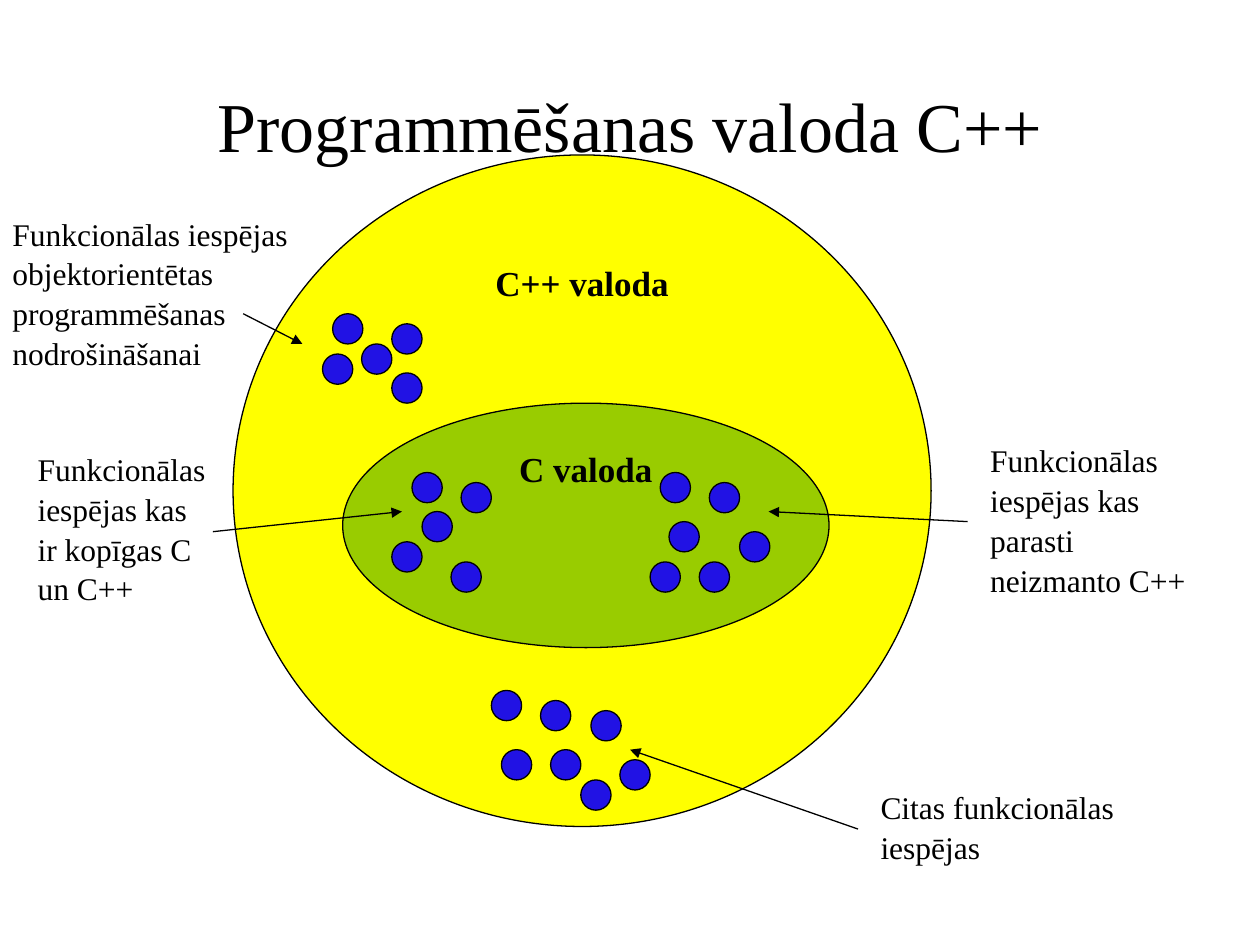
import pptx
import pptx.util
import pptx.dml.color
import pptx.enum.shapes
import pptx.enum.text
import pptx.oxml
import pptx.oxml.ns

Inches = pptx.util.Inches
Pt = pptx.util.Pt
RGBColor = pptx.dml.color.RGBColor
ALIGN = pptx.enum.text.PP_ALIGN
ANCHOR = pptx.enum.text.MSO_ANCHOR

BLACK = RGBColor(0x00, 0x00, 0x00)
YELLOW = RGBColor(0xFF, 0xFF, 0x00)
GREEN = RGBColor(0x99, 0xCC, 0x00)
BLUE = RGBColor(0x21, 0x12, 0xE4)

DOT_SIZE = 0.24


class Sketch:
    font_name = "Times New Roman"
    line_width = Pt(0.75)

    def __init__(self, page):
        self.page = page

    def fill_frame(self, frame, text, size, bold=False, align=ALIGN.LEFT,
                   anchor=ANCHOR.TOP, wrap=True, top=0.05, bottom=0.05):
        frame_format = {
            "word_wrap": wrap, "vertical_anchor": anchor,
            "margin_left": Inches(0.1), "margin_right": Inches(0.1),
            "margin_top": Inches(top), "margin_bottom": Inches(bottom),
        }
        for name, value in frame_format.items():
            setattr(frame, name, value)
        para = frame.paragraphs[0]
        para.alignment = align
        para.line_spacing = 1.05
        span = para.add_run()
        span.text = text
        font_format = {"name": self.font_name, "size": Pt(size), "bold": bold}
        for name, value in font_format.items():
            setattr(span.font, name, value)
        span.font.color.rgb = BLACK

    def text(self, place, text, size=18, **options):
        box = self.page.shapes.add_textbox(*map(Inches, place))
        self.fill_frame(box.text_frame, text, size, **options)

    def ellipse(self, place, color, label=None):
        shape = self.page.shapes.add_shape(
            pptx.enum.shapes.MSO_SHAPE.OVAL, *map(Inches, place))
        shape.shadow.inherit = False
        shape.fill.solid()
        shape.fill.fore_color.rgb = color
        shape.line.color.rgb = BLACK
        shape.line.width = self.line_width
        if label:
            self.fill_frame(shape.text_frame, label, 20, bold=True,
                            align=ALIGN.CENTER, wrap=False)

    def arrow(self, start, end):
        line = self.page.shapes.add_connector(
            pptx.enum.shapes.MSO_CONNECTOR.STRAIGHT,
            *map(Inches, start + end))
        line.line.color.rgb = BLACK
        line.line.width = self.line_width
        head = pptx.oxml.parse_xml(
            '<a:tailEnd %s type="triangle"/>' % pptx.oxml.ns.nsdecls("a"))
        properties = line._element.spPr
        properties.find(pptx.oxml.ns.qn("a:ln")).append(head)
        properties.append(pptx.oxml.parse_xml(
            "<a:effectLst %s/>" % pptx.oxml.ns.nsdecls("a")))

    def dots(self, corners):
        for left, top in corners:
            self.ellipse((left, top, DOT_SIZE, DOT_SIZE), BLUE)


def main():
    deck = pptx.Presentation()
    deck.slide_width, deck.slide_height = Inches(10), Inches(7.5)
    sketch = Sketch(deck.slides.add_slide(deck.slide_layouts[6]))

    # Title
    sketch.text((0.5, 0.3, 9, 1.25), "Programmēšanas valoda C++", 40,
                align=ALIGN.CENTER, anchor=ANCHOR.MIDDLE, top=0.1, bottom=0)

    # Language sets
    sketch.ellipse((1.85, 1.23, 5.54, 5.33), YELLOW, "C++ valoda")
    sketch.ellipse((2.72, 3.2, 3.86, 1.94), GREEN, "C valoda")

    # Each feature group: note place, note, arrow start, arrow end, dots
    groups = [
        ((7.76, 3.44, 1.77, 1.3),
         "Funkcionālas iespējas kas parasti neizmanto C++",
         (7.68, 4.14), (6.1, 4.06),
         [(5.55, 4.46), (5.87, 4.22), (5.24, 3.75),
          (5.16, 4.46), (5.63, 3.83), (5.31, 4.14)]),
        ((0.2, 3.51, 1.57, 1.3),
         "Funkcionālas iespējas kas ir kopīgas C un C++",
         (1.69, 4.22), (3.19, 4.06),
         [(3.27, 3.75), (3.35, 4.06), (3.58, 4.46),
          (3.66, 3.83), (3.11, 4.3)]),
        ((0, 1.64, 2.5, 1.3),
         "Funkcionālas iespējas objektorientētas programmēšanas "
         "nodrošināšanai",
         (1.93, 2.49), (2.4, 2.73),
         [(2.64, 2.49), (2.87, 2.73), (3.11, 2.96),
          (2.56, 2.81), (3.11, 2.57)]),
        ((6.89, 6.19, 2.33, 0.7),
         "Citas funkcionālas iespējas",
         (6.81, 6.58), (5, 5.95),
         [(3.9, 5.48), (4.61, 6.19), (4.37, 5.95), (3.98, 5.95),
          (4.92, 6.03), (4.69, 5.64), (4.29, 5.56)]),
    ]
    for place, note, start, end, corners in groups:
        sketch.text(place, note)
        sketch.arrow(start, end)
        sketch.dots(corners)

    deck.save("out.pptx")


if __name__ == "__main__":
    main()
